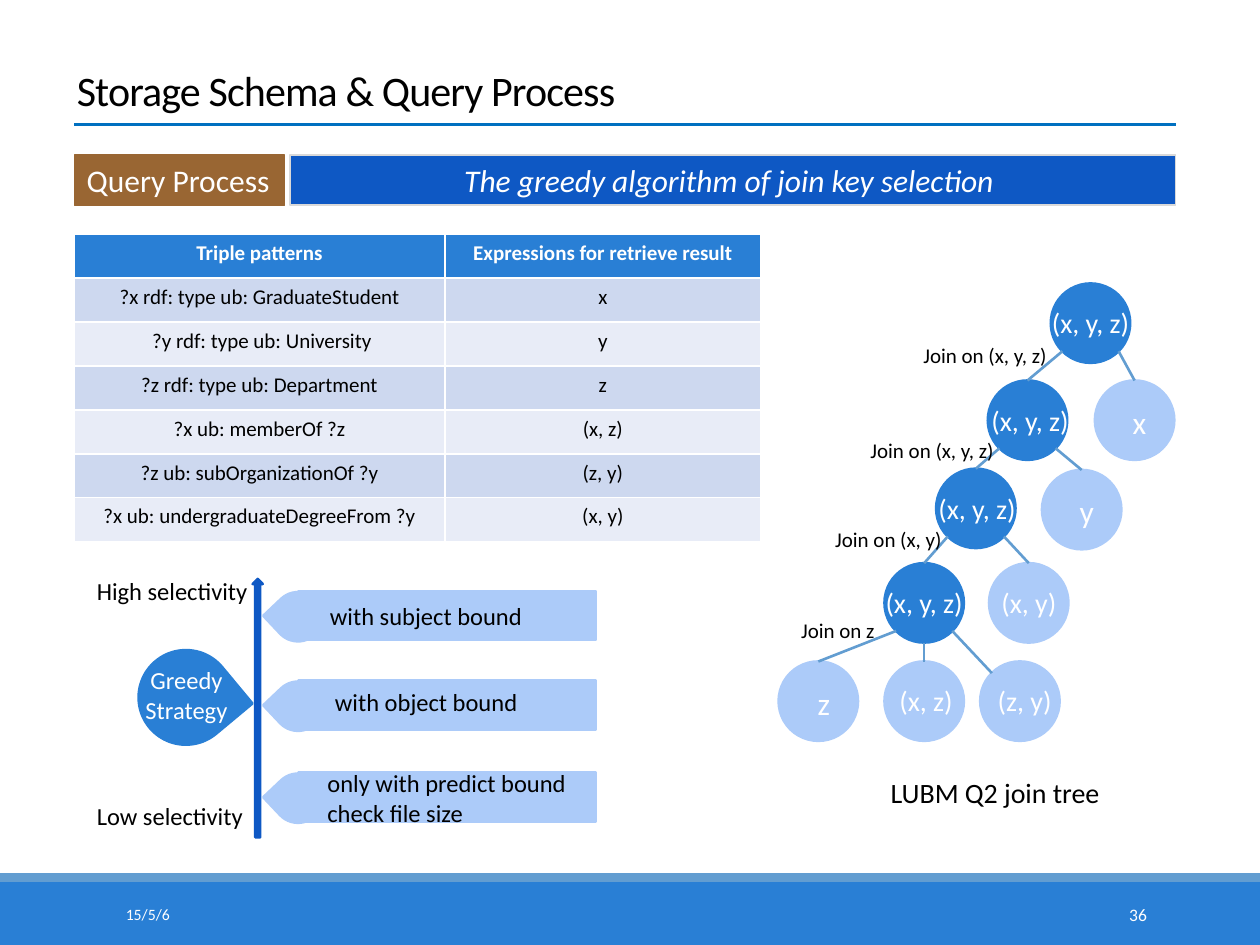
from lxml.etree import SubElement
from pptx import Presentation
from pptx.dml.color import RGBColor
from pptx.enum.shapes import MSO_CONNECTOR as LINE, MSO_SHAPE as SHAPE
from pptx.enum.text import MSO_ANCHOR as ANCHOR, PP_ALIGN as ALIGN
from pptx.oxml.ns import qn
from pptx.util import Inches, Pt

BLUE, DEEP, PALE, SKY = "297FD5", "0E58C4", "ACCBF9", "629DD1"
BROWN, WHITE, BLACK = "996633", "FFFFFF", "000000"
BANDS = "E8ECF7", "CDD8EF"

TABLE = [
    ("Triple patterns", "Expressions for retrieve result"),
    ("?x rdf: type ub: GraduateStudent", "x"),
    (" ?y rdf: type ub: University", "y"),
    ("?z rdf: type ub: Department", "z"),
    ("?x ub: memberOf ?z", "(x, z)"),
    ("?z ub: subOrganizationOf ?y", "(z, y)"),
    ("?x ub: undergraduateDegreeFrom ?y", "(x, y)"),
]
COL_WIDTHS = 2.94, 2.51
ROW_HEIGHT = 2.44 / len(TABLE)

DIAMETER = 0.63
# node: left, top, fill, label, label left, label width
NODES = {
    "root": (8.34, 2.25, BLUE, "(x, y, z)", 8.25, 0.84),
    "join 2": (7.84, 3.02, BLUE, "(x, y, z)", 7.77, 0.84),
    "x": (8.69, 3.02, PALE, "x", 8.89, 0.29),
    "join 3": (7.43, 3.72, BLUE, "(x, y, z)", 7.35, 0.84),
    "y": (8.27, 3.73, PALE, "y", 8.47, 0.29),
    "join 4": (7.02, 4.47, BLUE, "(x, y, z)", 6.93, 0.84),
    "xy": (7.85, 4.47, PALE, "(x, y)", 7.85, 0.84),
    "z": (6.18, 5.25, PALE, "z", 6.39, 0.28),
    "xz": (7.02, 5.25, PALE, "(x, z)", 7.04, 0.64),
    "zy": (7.78, 5.25, PALE, "(z, y)", 7.82, 0.64),
}
# parent, exit point, child, entry point
EDGES = [
    ("root", "bottom left", "join 2", "top"),
    ("root", "bottom right", "x", "top"),
    ("join 2", "bottom left", "join 3", "top"),
    ("join 2", "bottom right", "y", "top"),
    ("join 3", "bottom left", "join 4", "top"),
    ("join 3", "bottom right", "xy", "top"),
    ("join 4", "bottom left", "z", "top"),
    ("join 4", "bottom", "xz", "top"),
    ("join 4", "bottom right", "zy", "top left"),
]
DIAGONAL = 0.5 ** 0.5
DIRECTIONS = {"top": (0, -1), "bottom": (0, 1), "top left": (-DIAGONAL, -DIAGONAL),
              "bottom left": (-DIAGONAL, DIAGONAL), "bottom right": (DIAGONAL, DIAGONAL)}
JOINS = [
    ("Join on (x, y, z)", 7.23, 2.67),
    ("Join on (x, y, z)", 6.81, 3.42),
    ("Join on (x, y)", 6.53, 4.13),
    ("Join on z", 6.26, 4.85),
]
# tag top, text, text left, text top
STRATEGIES = [
    (4.69, "with subject bound", 2.52, 4.72),
    (5.4, "with object bound", 2.56, 5.4),
    (6.13, "only with predict bound\ncheck file size", 2.5, 6.05),
]
SELECTIVITY = [("High selectivity", 4.52), ("Low selectivity", 6.31)]


def rgb(value):
    return RGBColor.from_string(value)


def write(tf, text, size, color=BLACK, align=ALIGN.LEFT, anchor=ANCHOR.TOP, wrap=True, **font):
    """Fill a text frame, one paragraph a line."""
    tf.text, tf.word_wrap, tf.vertical_anchor = text, wrap, anchor
    for p in tf.paragraphs:
        p.alignment = align
        p.font.color.rgb = rgb(color)
        for name, value in {"name": "Calibri", "size": Pt(size), **font}.items():
            setattr(p.font, name, value)


def add_text(s, text, x, y, w, h, size, **style):
    write(s.shapes.add_textbox(*map(Inches, (x, y, w, h))).text_frame, text, size, **style)


def add_shape(s, kind, x, y, w, h, fill, line=None, width=1.5, rotation=0):
    sp = s.shapes.add_shape(kind, *map(Inches, (x, y, w, h)))
    sp.shadow.inherit = False
    sp.rotation = rotation
    sp.fill.solid()
    sp.fill.fore_color.rgb = rgb(fill)
    sp.line.color.rgb = rgb(line or fill)
    sp.line.width = Pt(width)
    return sp


def add_line(s, start, end, color):
    cn = s.shapes.add_connector(LINE.STRAIGHT, *map(Inches, (*start, *end)))
    cn.line.color.rgb = rgb(color)
    cn.line.width = Pt(1.5)
    SubElement(cn._element.spPr, qn("a:effectLst"))


def rim(node, direction):
    """Point where a direction from the centre of a node meets its circle."""
    r = DIAMETER / 2
    return [edge + r + r * step for edge, step in zip(NODES[node][:2], DIRECTIONS[direction])]


def add_frame(s):
    for y, h, color in [(7, 0.5, BLUE), (6.93, 0.07, SKY)]:
        add_shape(s, SHAPE.RECTANGLE, 0, y, 10, h, color).line.fill.background()
    title = s.shapes.title
    for name, value in dict(left=0.51, top=0.36, width=7.5, height=0.6).items():
        setattr(title, name, Inches(value))
    write(title.text_frame, "Storage Schema & Query Process", 24, anchor=ANCHOR.BOTTOM)
    p = title.text_frame.paragraphs[0]
    p.line_spacing = 0.85
    p.runs[0].font._element.set("spc", "-50")
    add_line(s, (0.59, 0.99), (9.33, 0.99), "0070C0")
    add_text(s, "15/5/6", 0.9, 7.06, 2.03, 0.4, 9, color=WHITE, anchor=ANCHOR.MIDDLE)
    add_text(s, "36", 8.12, 7.06, 1.08, 0.4, 10, color=WHITE, align=ALIGN.RIGHT,
             anchor=ANCHOR.MIDDLE)
    tag = add_shape(s, SHAPE.RECTANGLE, 0.59, 1.23, 1.67, 0.4, BROWN, width=0.75)
    write(tag.text_frame, "Query Process", 18, WHITE, wrap=False)
    banner = add_shape(s, SHAPE.RECTANGLE, 2.3, 1.23, 7.03, 0.4, DEEP, "D9D9D9", 1)
    write(banner.text_frame, "The greedy algorithm of join key selection ", 18, WHITE,
          ALIGN.CENTER, ANCHOR.MIDDLE, italic=True)


def add_patterns(s):
    box = map(Inches, (0.59, 1.86, sum(COL_WIDTHS), ROW_HEIGHT * len(TABLE)))
    table = s.shapes.add_table(len(TABLE), len(COL_WIDTHS), *box).table
    for column, width in zip(table.columns, COL_WIDTHS):
        column.width = Inches(width)
    for i, row in enumerate(TABLE):
        for j, text in enumerate(row):
            cell = table.cell(i, j)
            cell.fill.solid()
            cell.fill.fore_color.rgb = rgb(BANDS[i % 2] if i else BLUE)
            write(cell.text_frame, text, 12, BLACK if i else WHITE, ALIGN.CENTER, bold=i == 0)


def add_join_tree(s):
    for x, y, fill, label, label_x, label_w in NODES.values():
        add_shape(s, SHAPE.OVAL, x, y, DIAMETER, DIAMETER, fill)
        add_text(s, label, label_x, y + 0.13, label_w, 0.37, 18 if len(label) == 1 else 16,
                 color=WHITE)
    for parent, leave, child, enter in EDGES:
        add_line(s, rim(parent, leave), rim(child, enter), SKY)
    for text, x, y in JOINS:
        add_text(s, text, x, y, 1.25, 0.3, 12)
    add_text(s, "LUBM Q2 join tree", 6.97, 6.11, 2.13, 0.37, 16)


def add_strategy(s):
    for y, text, text_x, text_y in STRATEGIES:
        add_shape(s, SHAPE.TEAR, 2.17, y + 0.01, 0.39, 0.39, PALE, rotation=226.6)
        add_shape(s, SHAPE.RECTANGLE, 2.37, y, 2.36, 0.39, PALE)
        add_text(s, text, text_x, text_y, 2.11, 0.34 + 0.23 * text.count("\n"), 14)
    add_shape(s, SHAPE.RIGHT_ARROW, 1.02, 5.58, 2.05, 0.08, DEEP, rotation=270)
    for text, y in SELECTIVITY:
        add_text(s, text, 0.67, y, 1.5, 0.34, 14)
    add_shape(s, SHAPE.TEAR, 1.1, 5.16, 0.75, 0.75, BLUE, rotation=50.2)
    add_text(s, "Greedy Strategy", 1.02, 5.23, 0.92, 0.57, 14, color=WHITE, align=ALIGN.CENTER)


def main():
    prs = Presentation()
    prs.slide_width, prs.slide_height = Inches(10), Inches(7.5)
    s = prs.slides.add_slide(prs.slide_layouts[5])
    add_frame(s)
    add_patterns(s)
    add_join_tree(s)
    add_strategy(s)
    prs.save("out.pptx")


if __name__ == "__main__":
    main()
